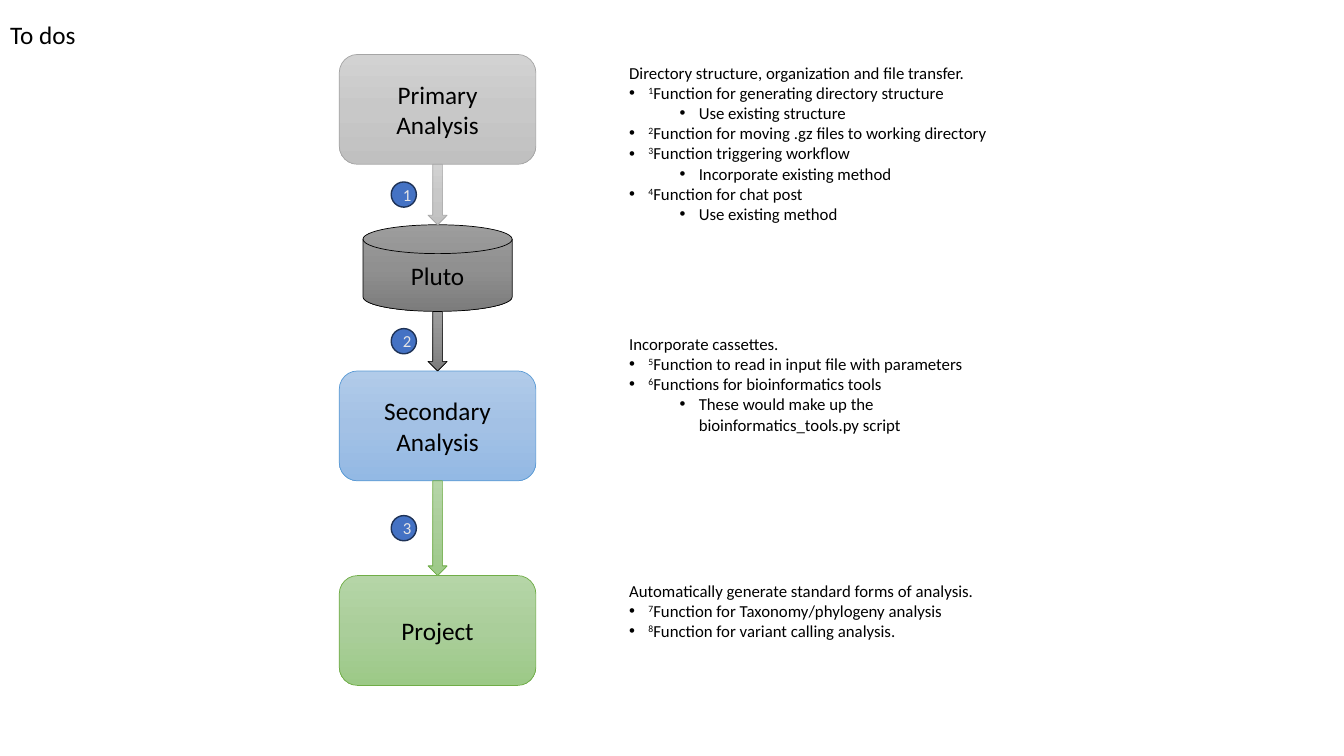
from copy import deepcopy
from dataclasses import dataclass

from lxml import etree
from pptx import Presentation
from pptx.dml.color import RGBColor
from pptx.enum import shapes, text
from pptx.oxml.ns import qn
from pptx.util import Inches, Pt

MSO = shapes.MSO_SHAPE


@dataclass(frozen=True)
class Tone:
    stops: tuple[str, str, str]
    line: str


@dataclass(frozen=True)
class Theme:
    font: str = "Calibri"
    heading: int = 18
    body: int = 12
    ink: str = "000000"
    badge: str = "4472C4"
    badge_line: str = "1E3256"
    badge_ink: str = "E7E6E6"
    silver: Tone = Tone(("D2D2D2", "C8C8C8", "C0C0C0"), "A5A5A5")
    gray: Tone = Tone(("9D9D9D", "909090", "7C7C7C"), "000000")
    blue: Tone = Tone(("B1CBE9", "A3C1E5", "93B9E4"), "5B9BD5")
    green: Tone = Tone(("B5D5A7", "AACE9A", "9CC987"), "70AD47")


THEME = Theme()


@dataclass(frozen=True)
class Stage:
    label: str
    top: float
    tone: Tone
    kind: MSO = MSO.FLOWCHART_ALTERNATE_PROCESS
    width: float = 1.95
    height: float = 1.09

    @property
    def bottom(self) -> float:
        return self.top + self.height


@dataclass(frozen=True)
class Item:
    label: str
    subs: tuple[str, ...] = ()


@dataclass(frozen=True)
class Note:
    top: float
    height: float
    lead: str
    items: tuple[Item, ...]


STAGES = (
    Stage("Primary Analysis", 0.54, THEME.silver),
    Stage("Pluto", 2.23, THEME.gray, MSO.FLOWCHART_MAGNETIC_DISK, 1.48, 0.86),
    Stage("Secondary Analysis", 3.68, THEME.blue),
    Stage("Project", 5.71, THEME.green),
)
ARROW_TONES = (THEME.silver, THEME.gray, THEME.green)
NOTES = (
    Note(0.57, 1.72, "Directory structure, organization and file transfer.", (
        Item("Function for generating directory structure", ("Use existing structure",)),
        Item("Function for moving .gz files to working directory"),
        Item("Function triggering workflow", ("Incorporate existing method",)),
        Item("Function for chat post", ("Use existing method",)),
    )),
    Note(3.26, 1.11, "Incorporate cassettes.", (
        Item("Function to read in input file with parameters"),
        Item("Functions for bioinformatics tools",
             ("These would make up the bioinformatics_tools.py script",)),
    )),
    Note(5.71, 0.91, "Automatically generate standard forms of analysis.", (
        Item("Function for Taxonomy/phylogeny analysis"),
        Item("Function for variant calling analysis."),
    )),
)
AXIS = 4.34
ARROW_WIDTH = 0.19
BADGE_LEFT, BADGE_SIZE = 3.88, 0.25
NOTE_LEFT, NOTE_WIDTH = 6.14, 3.83
HANG, SUB_INDENT = 0.19, 0.5


def rgb(code: str) -> RGBColor:
    return RGBColor.from_string(code)


def place(sp, left: float, top: float, width: float, height: float) -> None:
    sp.left, sp.top, sp.width, sp.height = map(Inches, (left, top, width, height))


def add_run(p, label: str, size: int, color: str = THEME.ink, raised: bool = False) -> None:
    r = p.add_run()
    r.text = label
    r.font.name, r.font.size, r.font.bold = THEME.font, Pt(size), False
    r.font.color.rgb = rgb(color)
    if raised:
        r.font._element.set("baseline", "30000")


def add_shape(slide, kind: MSO, left: float, top: float, width: float, height: float,
              line: str, weight: float):
    sp = slide.shapes.add_shape(kind, *map(Inches, (left, top, width, height)))
    sp.shadow.inherit = False
    sp.line.color.rgb = rgb(line)
    sp.line.width = Pt(weight)
    return sp


def add_toned(slide, kind: MSO, top: float, width: float, height: float, tone: Tone):
    """Add a shape centred on the flow axis, with a downward gradient."""
    sp = add_shape(slide, kind, AXIS - width / 2, top, width, height, tone.line, 0.5)
    sp.fill.gradient()
    sp.fill.gradient_angle = 270
    stops = sp._element.spPr.find(".//" + qn("a:gsLst"))
    stops.insert(1, deepcopy(stops[0]))
    for i, (stop, color) in enumerate(zip(sp.fill.gradient_stops, tone.stops)):
        stop.position = i / 2
        stop.color.rgb = rgb(color)
    return sp


def set_label(sp, label: str, size: int, color: str) -> None:
    tf = sp.text_frame
    tf.word_wrap = True
    tf.vertical_anchor = text.MSO_ANCHOR.MIDDLE
    p = tf.paragraphs[0]
    p.alignment = text.PP_ALIGN.CENTER
    add_run(p, label, size, color)


def add_stage(slide, stage: Stage) -> None:
    sp = add_toned(slide, stage.kind, stage.top, stage.width, stage.height, stage.tone)
    set_label(sp, stage.label, THEME.heading, THEME.ink)


def add_step(slide, number: int, start: float, end: float, tone: Tone) -> None:
    """Add the arrow between two stages and its numbered badge."""
    add_toned(slide, MSO.DOWN_ARROW, start, ARROW_WIDTH, end - start, tone)
    sp = add_shape(slide, MSO.OVAL, BADGE_LEFT, (start + end - BADGE_SIZE) / 2,
                   BADGE_SIZE, BADGE_SIZE, THEME.badge_line, 1)
    sp.fill.solid()
    sp.fill.fore_color.rgb = rgb(THEME.badge)
    set_label(sp, str(number), THEME.body, THEME.badge_ink)


def format_paragraph(p, level: int = 0, bullet: bool = True) -> None:
    p.level = level
    p.alignment = text.PP_ALIGN.LEFT
    p.space_before = Pt(0)
    pPr = p._p.get_or_add_pPr()
    pPr.set("marL", str(Inches(HANG + level * SUB_INDENT if bullet else 0)))
    pPr.set("indent", str(Inches(-HANG if bullet else 0)))
    if bullet:
        etree.SubElement(pPr, qn("a:buFont"), typeface="Arial")
        etree.SubElement(pPr, qn("a:buChar"), char="•")
    else:
        etree.SubElement(pPr, qn("a:buNone"))


def fill_note(sp, note: Note, first_number: int) -> None:
    place(sp, NOTE_LEFT, note.top, NOTE_WIDTH, note.height)
    tf = sp.text_frame
    tf.word_wrap = True
    tf.auto_size = text.MSO_AUTO_SIZE.SHAPE_TO_FIT_TEXT
    tf.vertical_anchor = text.MSO_ANCHOR.TOP
    format_paragraph(tf.paragraphs[0], bullet=False)
    add_run(tf.paragraphs[0], note.lead, THEME.body)
    for number, item in enumerate(note.items, first_number):
        p = tf.add_paragraph()
        format_paragraph(p)
        add_run(p, str(number), THEME.body, raised=True)
        add_run(p, item.label, THEME.body)
        for sub in item.subs:
            p = tf.add_paragraph()
            format_paragraph(p, level=1)
            add_run(p, sub, THEME.body)


def fill_title(sp, label: str) -> None:
    place(sp, 0, 0.14, 0.86, 0.4)
    tf = sp.text_frame
    tf.word_wrap = False
    tf.auto_size = text.MSO_AUTO_SIZE.SHAPE_TO_FIT_TEXT
    tf.vertical_anchor = text.MSO_ANCHOR.TOP
    tf.paragraphs[0].alignment = text.PP_ALIGN.LEFT
    add_run(tf.paragraphs[0], label, THEME.heading)


def main() -> None:
    prs = Presentation()
    prs.slide_width, prs.slide_height = Inches(13.33), Inches(7.5)
    slide = prs.slides.add_slide(prs.slide_layouts.get_by_name("Comparison"))
    title, *bodies = slide.placeholders
    fill_title(title, "To dos")
    number = 1
    for sp, note in zip(bodies, NOTES):
        fill_note(sp, note, number)
        number += len(note.items)
    for sp in bodies[len(NOTES):]:
        sp._element.getparent().remove(sp._element)
    for stage in STAGES:
        add_stage(slide, stage)
    for i, (upper, lower, tone) in enumerate(zip(STAGES, STAGES[1:], ARROW_TONES), 1):
        add_step(slide, i, upper.bottom, lower.top, tone)
    prs.save("out.pptx")


if __name__ == "__main__":
    main()
